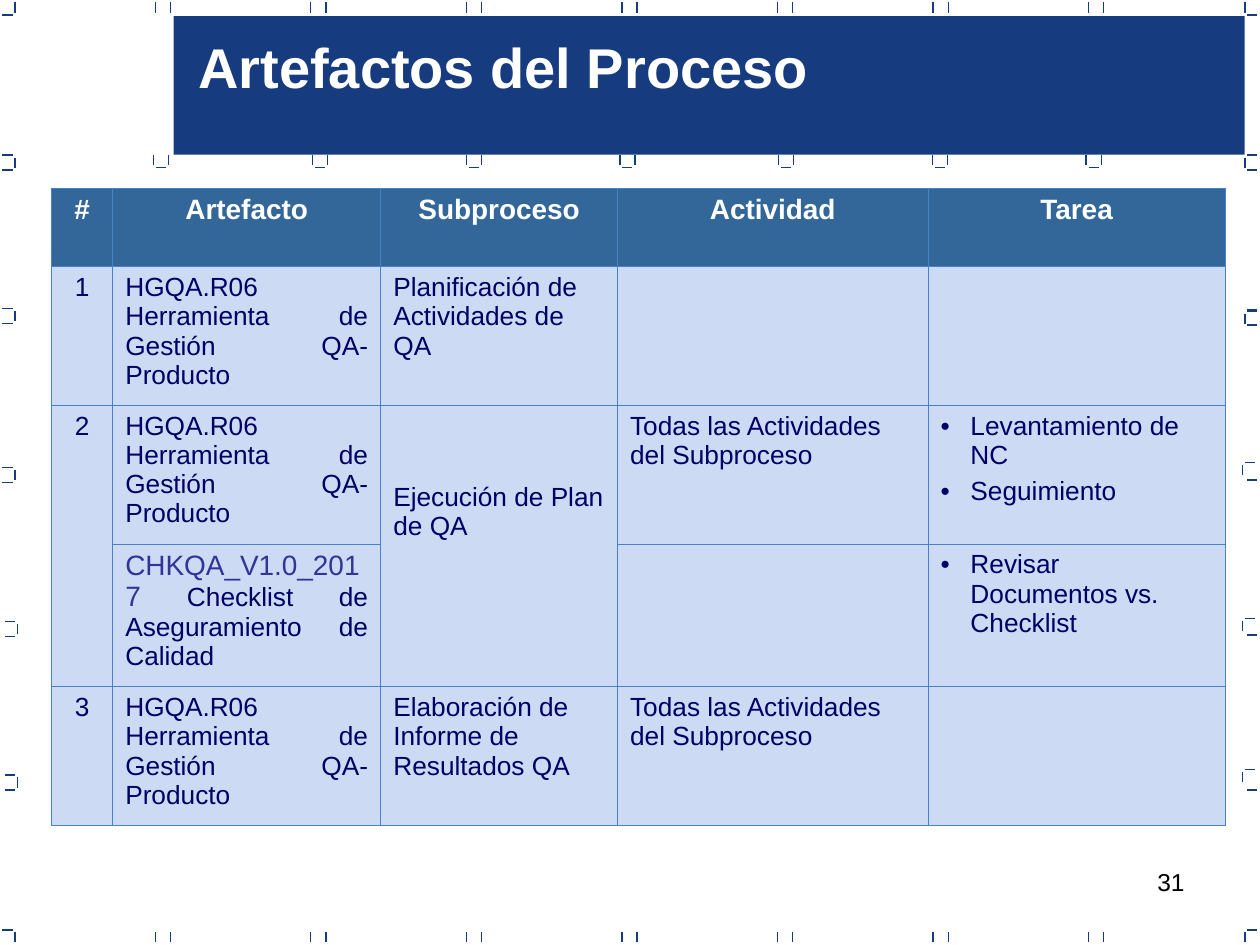
"""Build the slide listing the artefacts of the process."""

from dataclasses import dataclass

from lxml import etree
from pptx import Presentation
from pptx.dml.color import RGBColor
from pptx.enum.shapes import MSO_CONNECTOR, MSO_SHAPE
from pptx.enum.text import PP_ALIGN
from pptx.oxml.ns import qn
from pptx.util import Pt

LEFT, CENTER, RIGHT, JUSTIFY = PP_ALIGN.LEFT, PP_ALIGN.CENTER, PP_ALIGN.RIGHT, PP_ALIGN.JUSTIFY
STRAIGHT = MSO_CONNECTOR.STRAIGHT
RECTANGLE = MSO_SHAPE.RECTANGLE

NAVY = RGBColor(0x16, 0x3B, 0x7F)
WHITE = RGBColor(0xFF, 0xFF, 0xFF)
BLACK = RGBColor(0x00, 0x00, 0x00)
HEADER_FILL = RGBColor(0x33, 0x66, 0x99)
BODY_FILL = RGBColor(0xCD, 0xDA, 0xF3)
BODY_TEXT = RGBColor(0x00, 0x00, 0x66)
CODE_TEXT = RGBColor(0x33, 0x33, 0x99)
BORDER = RGBColor(0x47, 0x82, 0xC9)

FONT = "Arial"
MARK_SIZE = 8.64
MARK_GAP = 1.44
BULLET_INDENT = 17.1
COLUMN_WIDTHS = (34.9, 153.2, 135.3, 177.4, 169.9)
ROW_HEIGHTS = (45, 79.2, 79.2, 81, 79.2)


@dataclass(frozen=True)
class Mark:
    """A small open square of which only the sides named (l, r, t, b) are drawn."""

    left: float
    top: float
    sides: str


@dataclass(frozen=True)
class Span:
    """A run of text with its look."""

    text: str
    size: float = 15
    color: RGBColor = BODY_TEXT
    bold: bool = False


@dataclass(frozen=True)
class Entry:
    """The paragraphs of one table cell, each a tuple of spans."""

    row: int
    column: int
    paras: tuple[tuple[Span, ...], ...]
    align: PP_ALIGN = LEFT
    bullet: bool = False
    margin_top: float = 3.6


COLUMN_MARKS = [
    Mark(88.7 + 88.9 * step, top, "lr") for top in (0, 531.36) for step in range(7)
]
BANNER_MARKS = [
    Mark(left, 87.12, "lrb") for left in (87.84, 178.56, 266.4, 354.24, 444.96, 532.8, 620.64)
]
LEFT_MARKS = [
    Mark(0, 0, "rb"), Mark(0, 88.56, "trb"), Mark(0, 176.4, "trb"), Mark(0, 267.12, "trb"),
    Mark(1.44, 354.96, "trb"), Mark(1.44, 442.8, "trb"), Mark(0, 531.36, "tr"),
]
RIGHT_MARKS = [
    Mark(711.36, 0, "lb"), Mark(711.36, 88.56, "tlb"), Mark(711.36, 177.12, "tb"),
    Mark(711.36, 177.84, "tl"), Mark(709.92, 264.24, "tl"), Mark(709.92, 353.52, "tl"),
    Mark(709.92, 439.92, "tl"), Mark(711.36, 531.36, "tl"),
    *(Mark(711.36, top, "t") for top in (274.32, 362.88, 451.44)),
]

HEADINGS = [
    Entry(0, column, ((Span(text, 16, WHITE, True),),), CENTER)
    for column, text in enumerate(("#", "Artefacto", "Subproceso", "Actividad", "Tarea"))
]
NUMBERS = [
    Entry(row, 0, ((Span(text),),), CENTER) for row, text in ((1, "1"), (2, "2"), (4, "3"))
]
TOOLS = [
    Entry(row, 1, ((Span("HGQA.R06 Herramienta de Gestión QA-Producto"),),), JUSTIFY)
    for row in (1, 2, 4)
]
ACTIVITIES = [
    Entry(row, 3, ((Span("Todas las Actividades del Subproceso"),),)) for row in (2, 4)
]
CHECKLIST = (
    Span("CHKQA_V1.0_2017 ", 16, CODE_TEXT),
    Span("Checklist de Aseguramiento de Calidad"),
)
ENTRIES = [
    *HEADINGS, *NUMBERS, *TOOLS, *ACTIVITIES,
    Entry(3, 1, (CHECKLIST,), JUSTIFY),
    Entry(1, 2, ((Span("Planificación de Actividades de QA"),),)),
    Entry(2, 2, ((Span("Ejecución de Plan de QA"),),), margin_top=44.2),
    Entry(4, 2, ((Span("Elaboración de Informe de Resultados QA"),),)),
    Entry(2, 4, ((Span("Levantamiento de NC"),), (Span("Seguimiento"),)), bullet=True),
    Entry(3, 4, ((Span("Revisar Documentos vs. Checklist"),),), bullet=True),
]


def draw_mark(page, mark: Mark) -> None:
    """Draw the sides of one mark as separate lines."""
    near, far = MARK_GAP, MARK_SIZE - MARK_GAP
    ends = {
        "l": (0, near, 0, far),
        "r": (MARK_SIZE, near, MARK_SIZE, far),
        "t": (near, 0, far, 0),
        "b": (near, MARK_SIZE, far, MARK_SIZE),
    }
    for side in mark.sides:
        x1, y1, x2, y2 = ends[side]
        line = page.shapes.add_connector(
            STRAIGHT,
            Pt(mark.left + x1), Pt(mark.top + y1), Pt(mark.left + x2), Pt(mark.top + y2),
        )
        line.line.color.rgb = NAVY
        line.line.width = Pt(0.75)
        etree.SubElement(line.element.spPr, qn("a:effectLst"))


def add_spans(para, spans: tuple[Span, ...], align: PP_ALIGN) -> None:
    """Write the spans into a paragraph, run by run."""
    para.alignment = align
    for span in spans:
        run = para.add_run()
        run.text = span.text
        run.font.name = FONT
        run.font.size = Pt(span.size)
        run.font.bold = span.bold
        run.font.color.rgb = span.color


def add_bullet(para) -> None:
    """Give a paragraph a hanging round bullet."""
    properties = para._p.get_or_add_pPr()
    properties.set("marL", str(Pt(BULLET_INDENT)))
    properties.set("indent", str(-Pt(BULLET_INDENT)))
    color = etree.SubElement(properties, qn("a:buClr"))
    etree.SubElement(color, qn("a:srgbClr"), val=str(BODY_TEXT))
    etree.SubElement(properties, qn("a:buFont"), typeface=FONT)
    etree.SubElement(properties, qn("a:buChar"), char="•")


def style_cell(cell, fill: RGBColor) -> None:
    """Set the borders and the fill of a cell."""
    properties = cell._tc.get_or_add_tcPr()
    for side in ("lnL", "lnR", "lnT", "lnB"):
        edge = etree.SubElement(properties, qn(f"a:{side}"), w=str(Pt(0.45)))
        paint = etree.SubElement(edge, qn("a:solidFill"))
        etree.SubElement(paint, qn("a:srgbClr"), val=str(BORDER))
    cell.fill.solid()
    cell.fill.fore_color.rgb = fill


def fill_cell(cell, entry: Entry) -> None:
    """Write an entry into its cell."""
    cell.margin_top = Pt(entry.margin_top)
    for index, spans in enumerate(entry.paras):
        para = cell.text_frame.add_paragraph() if index else cell.text_frame.paragraphs[0]
        if entry.bullet:
            add_bullet(para)
        if index:
            para.space_before = Pt(3.7)
        add_spans(para, spans, entry.align)


def draw_table(page) -> None:
    """Draw the table of artefacts."""
    frame = page.shapes.add_table(
        len(ROW_HEIGHTS), len(COLUMN_WIDTHS),
        Pt(29.5), Pt(107.4), Pt(sum(COLUMN_WIDTHS)), Pt(sum(ROW_HEIGHTS)),
    )
    table = frame.table
    table.first_row = table.horz_banding = False
    for column, width in zip(table.columns, COLUMN_WIDTHS):
        column.width = Pt(width)
    for index, (row, height) in enumerate(zip(table.rows, ROW_HEIGHTS)):
        row.height = Pt(height)
        for cell in row.cells:
            style_cell(cell, BODY_FILL if index else HEADER_FILL)
    for column in (0, 2):
        table.cell(2, column).merge(table.cell(3, column))
    for entry in ENTRIES:
        fill_cell(table.cell(entry.row, entry.column), entry)


def draw_text(page, left: float, top: float, width: float, height: float, span: Span,
              align: PP_ALIGN) -> None:
    """Draw a text box holding one span."""
    box = page.shapes.add_textbox(Pt(left), Pt(top), Pt(width), Pt(height))
    box.text_frame.word_wrap = True
    add_spans(box.text_frame.paragraphs[0], (span,), align)


def main() -> None:
    """Build and save the deck."""
    deck = Presentation()
    deck.slide_width, deck.slide_height = Pt(720), Pt(540)
    page = deck.slides.add_slide(deck.slide_layouts[6])
    draw_text(page, 516.2, 491.8, 167.8, 37.4, Span("31", 14, BLACK), RIGHT)
    for mark in (*COLUMN_MARKS, *BANNER_MARKS, *LEFT_MARKS, *RIGHT_MARKS):
        draw_mark(page, mark)
    banner = page.shapes.add_shape(RECTANGLE, Pt(99.2), Pt(9.2), Pt(612), Pt(79.2))
    banner.shadow.inherit = False
    banner.fill.solid()
    banner.fill.fore_color.rgb = NAVY
    banner.line.fill.background()
    title = Span("Artefactos del Proceso", 32, WHITE, True)
    draw_text(page, 106.2, 15.1, 380, 46.1, title, LEFT)
    draw_table(page)
    deck.save("out.pptx")


if __name__ == "__main__":
    main()
